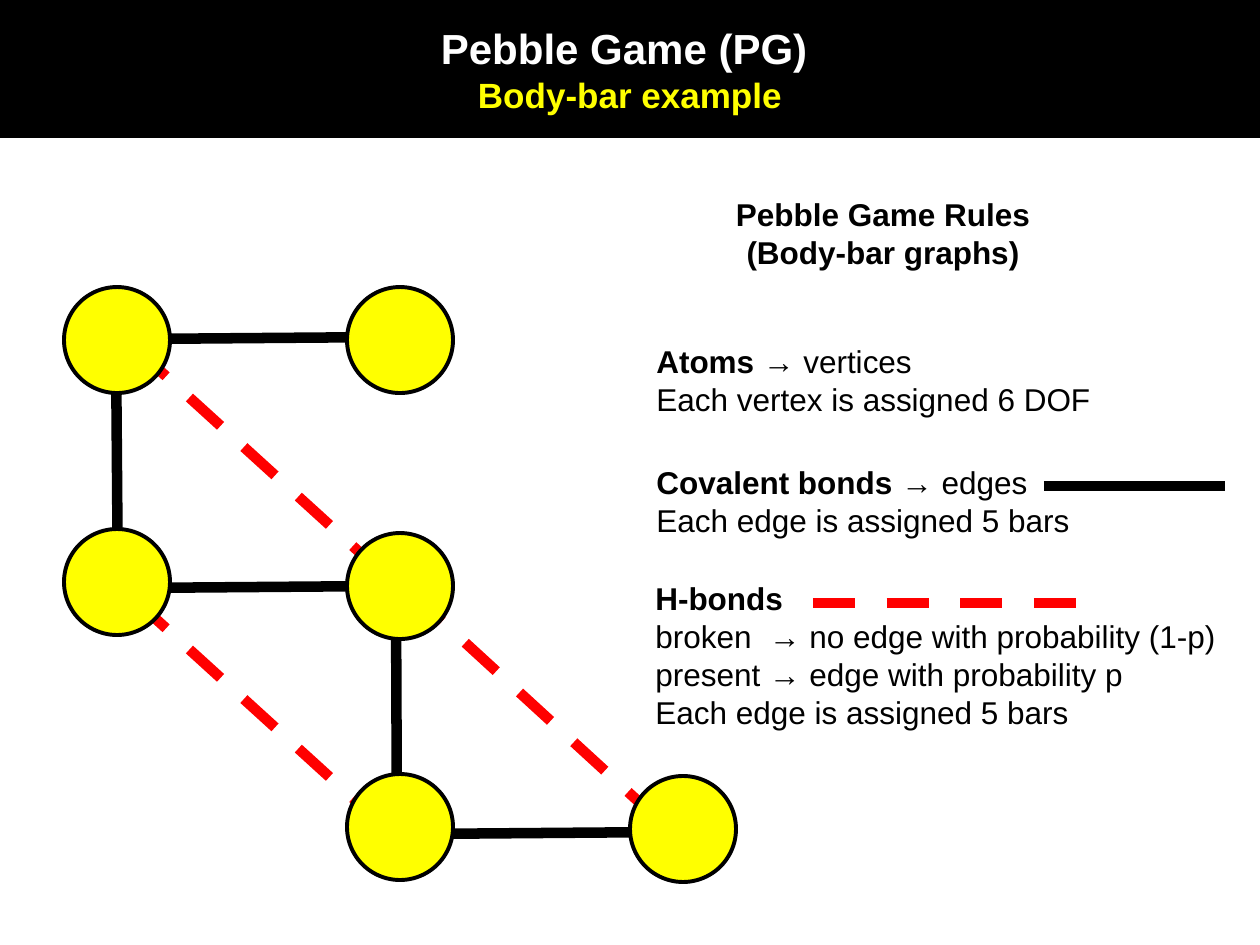
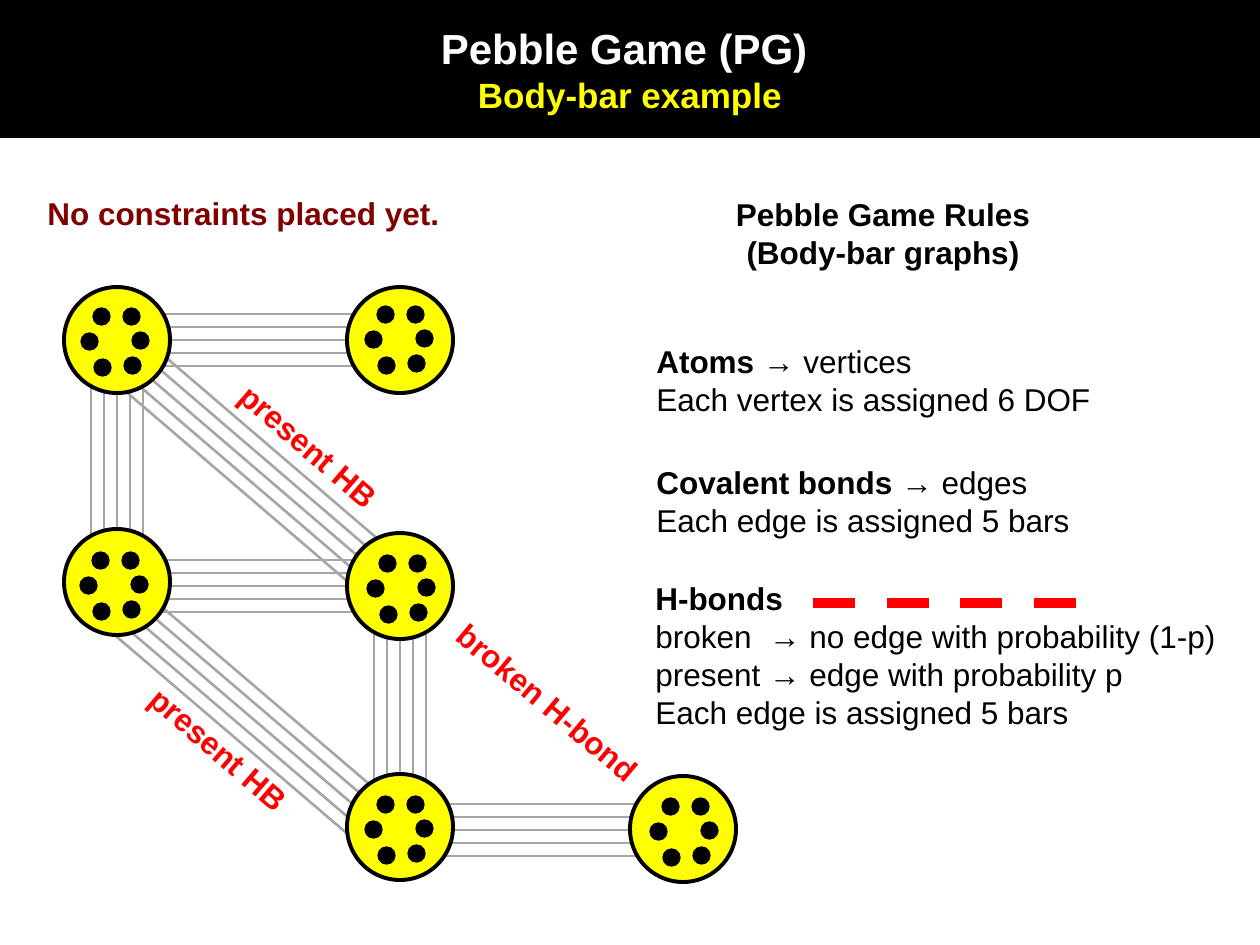
from math import hypot

from pptx import Presentation
from pptx.dml.color import RGBColor as RGB
from pptx.enum.dml import MSO_LINE
from pptx.enum.shapes import MSO_CONNECTOR as CONN, MSO_SHAPE as SHAPE
from pptx.enum.text import MSO_ANCHOR, MSO_AUTO_SIZE, PP_ALIGN as ALIGN
from pptx.oxml.xmlchemy import OxmlElement
from pptx.util import Pt

EMU_PER_PX = 914400 / 126
COLORS = {
    "black": "000000",
    "white": "FFFFFF",
    "yellow": "FFFF00",
    "red": "FF0000",
    "maroon": "800000",
    "gray": "A6A6A6",
}
BODY = {"name": "Arial", "size": Pt(18), "bold": False}
BOLD = {**BODY, "bold": True}
TITLE = {**BOLD, "size": Pt(24)}
SUBTITLE = {**BOLD, "size": Pt(20)}

ATOM_SIZE, PEBBLE_SIZE, BAR_GAP = 106, 17, 13
ATOMS = [(347, 774), (347, 287), (64, 287), (630, 776), (64, 529), (347, 533)]
PEBBLE_ORIGINS = [(365, 796), (365, 306), (81, 308), (650, 798), (80, 552), (367, 555)]
PEBBLES = [(42, 0), (12, 0), (0, 25), (13, 51), (51, 24), (43, 49)]
H_BONDS = [(411, 593, 675, 835), (135, 600, 401, 842), (135, 348, 401, 590)]
COVALENT_BONDS = [
    (132, 588, 386, 586),
    (417, 834, 670, 832),
    (397, 843, 396, 590),
    (141, 339, 394, 337),
    (118, 595, 116, 341),
]
BARS = [
    (141, 586, 383, 586),
    (417, 830, 659, 830),
    (400, 828, 400, 586),
    (141, 340, 383, 340),
    (383, 830, 116, 602),
    (117, 588, 117, 346),
    (388, 582, 122, 354),
]
BOND_LABELS = [
    ("present HB", (212, 422, 197, 50), 40.7),
    ("broken H-bond", (423, 678, 252, 50), 40),
    ("present HB", (122, 725, 197, 50), 40.7),
]
RULES = [
    ((644, 336, 466, 89), [
        [("Atoms ", BOLD), ("→ vertices", BODY)],
        [("Each vertex is assigned 6 DOF", BODY)],
    ]),
    ((644, 457, 442, 89), [
        [("Covalent bonds ", BOLD), ("→ edges", BODY)],
        [("Each edge is assigned 5 bars", BODY)],
    ]),
    ((643, 573, 591, 165), [
        [("H-bonds", BOLD)],
        [("broken  → no edge with probability (1-p)", BODY)],
        [("present → edge with probability p", BODY)],
        [("Each edge is assigned 5 bars", BODY)],
    ]),
]


def px(*values):
    """Turn pixel lengths into EMU."""
    return [round(v * EMU_PER_PX) for v in values]


def color(name):
    """Look up a named colour."""
    return RGB.from_string(COLORS[name])


def add_run(p, text, fmt, ink):
    """Add a formatted run to a paragraph."""
    r = p.add_run()
    r.text = text
    for key, value in fmt.items():
        setattr(r.font, key, value)
    r.font.color.rgb = color(ink)


def fill_text(tf, lines, inks, align=ALIGN.LEFT):
    """Write lines of runs, one ink colour per line."""
    for i, (runs, ink) in enumerate(zip(lines, inks)):
        p = tf.add_paragraph() if i else tf.paragraphs[0]
        p.alignment = align
        for text, fmt in runs:
            add_run(p, text, fmt, ink)


def add_text(s, box, lines, ink="black", align=ALIGN.LEFT, rotation=0):
    """Add an unwrapped text box in one colour."""
    sp = s.shapes.add_textbox(*px(*box))
    sp.rotation = rotation
    tf = sp.text_frame
    tf.word_wrap = False
    tf.auto_size = MSO_AUTO_SIZE.SHAPE_TO_FIT_TEXT
    fill_text(tf, lines, [ink] * len(lines), align)


def add_line(shapes, ends, ink, width=6, dash=None):
    """Add a straight line between two points."""
    cx = shapes.add_connector(CONN.STRAIGHT, *px(*ends))
    cx.line.color.rgb = color(ink)
    cx.line.width = Pt(width)
    if dash:
        cx.line.dash_style = dash
    cx._element.spPr.append(OxmlElement("a:effectLst"))


def add_circle(shapes, x, y, size, fill, width):
    """Add a filled circle with a black outline."""
    sp = shapes.add_shape(SHAPE.OVAL, *px(x, y, size, size))
    sp.shadow.inherit = False
    sp.fill.solid()
    sp.fill.fore_color.rgb = color(fill)
    sp.line.color.rgb = color("black")
    sp.line.width = Pt(width)


def add_bars(s, x1, y1, x2, y2):
    """Add a group of five parallel bars centred on a line."""
    group = s.shapes.add_group_shape()
    length = hypot(x2 - x1, y2 - y1)
    nx, ny = (y1 - y2) / length, (x2 - x1) / length
    for step in range(-2, 3):
        dx, dy = step * BAR_GAP * nx, step * BAR_GAP * ny
        add_line(group.shapes, (x1 + dx, y1 + dy, x2 + dx, y2 + dy), "gray", 1.5)


def add_atoms(s):
    """Add the six atoms."""
    for x, y in ATOMS:
        add_circle(s.shapes, x, y, ATOM_SIZE, "yellow", 2.25)


def add_pebbles(s):
    """Add a group of six pebbles to each atom."""
    for x, y in PEBBLE_ORIGINS:
        group = s.shapes.add_group_shape()
        for dx, dy in PEBBLES:
            add_circle(group.shapes, x + dx, y + dy, PEBBLE_SIZE, "black", 0.75)


def add_banner(s):
    """Add the title band."""
    sp = s.shapes.add_shape(SHAPE.RECTANGLE, *px(0, 0, 1260, 138))
    sp.shadow.inherit = False
    sp.fill.solid()
    sp.fill.fore_color.rgb = color("black")
    sp.line.fill.background()
    tf = sp.text_frame
    tf.word_wrap = True
    tf.vertical_anchor = MSO_ANCHOR.MIDDLE
    lines = [[("Pebble Game (PG) ", TITLE)], [("Body-bar example", SUBTITLE)]]
    fill_text(tf, lines, ["white", "yellow"], ALIGN.CENTER)


def add_rules(s):
    """Add the rules of the game and the H-bond key."""
    heading = [[("Pebble Game Rules", BOLD)], [("(Body-bar graphs)", BOLD)]]
    add_text(s, (722, 189, 322, 89), heading, align=ALIGN.CENTER)
    for box, lines in RULES:
        add_text(s, box, lines)
    add_line(s.shapes, (813, 603, 1080, 603), "red", dash=MSO_LINE.DASH)


def add_base(prs):
    """Add a blank slide with the shared band and rules."""
    s = prs.slides.add_slide(prs.slide_layouts[6])
    add_banner(s)
    add_rules(s)
    return s


def build_bond_slide(prs):
    """Build the slide of atoms joined by bonds."""
    s = add_base(prs)
    for ends in H_BONDS:
        add_line(s.shapes, ends, "red", dash=MSO_LINE.DASH)
    for ends in COVALENT_BONDS + [(1044, 486, 1225, 486)]:
        add_line(s.shapes, ends, "black")
    add_atoms(s)


def build_bar_slide(prs):
    """Build the slide of atoms with pebbles joined by bars."""
    s = add_base(prs)
    for ends in BARS:
        add_bars(s, *ends)
    for text, box, angle in BOND_LABELS:
        add_text(s, box, [[(text, BOLD)]], "red", rotation=angle)
    add_atoms(s)
    add_pebbles(s)
    add_text(s, (35, 188, 427, 50), [[("No constraints placed yet.", BOLD)]], "maroon")


def main():
    """Build and save the presentation."""
    prs = Presentation()
    prs.slide_width, prs.slide_height = px(1260, 945)
    build_bond_slide(prs)
    build_bar_slide(prs)
    prs.save("out.pptx")


if __name__ == "__main__":
    main()
